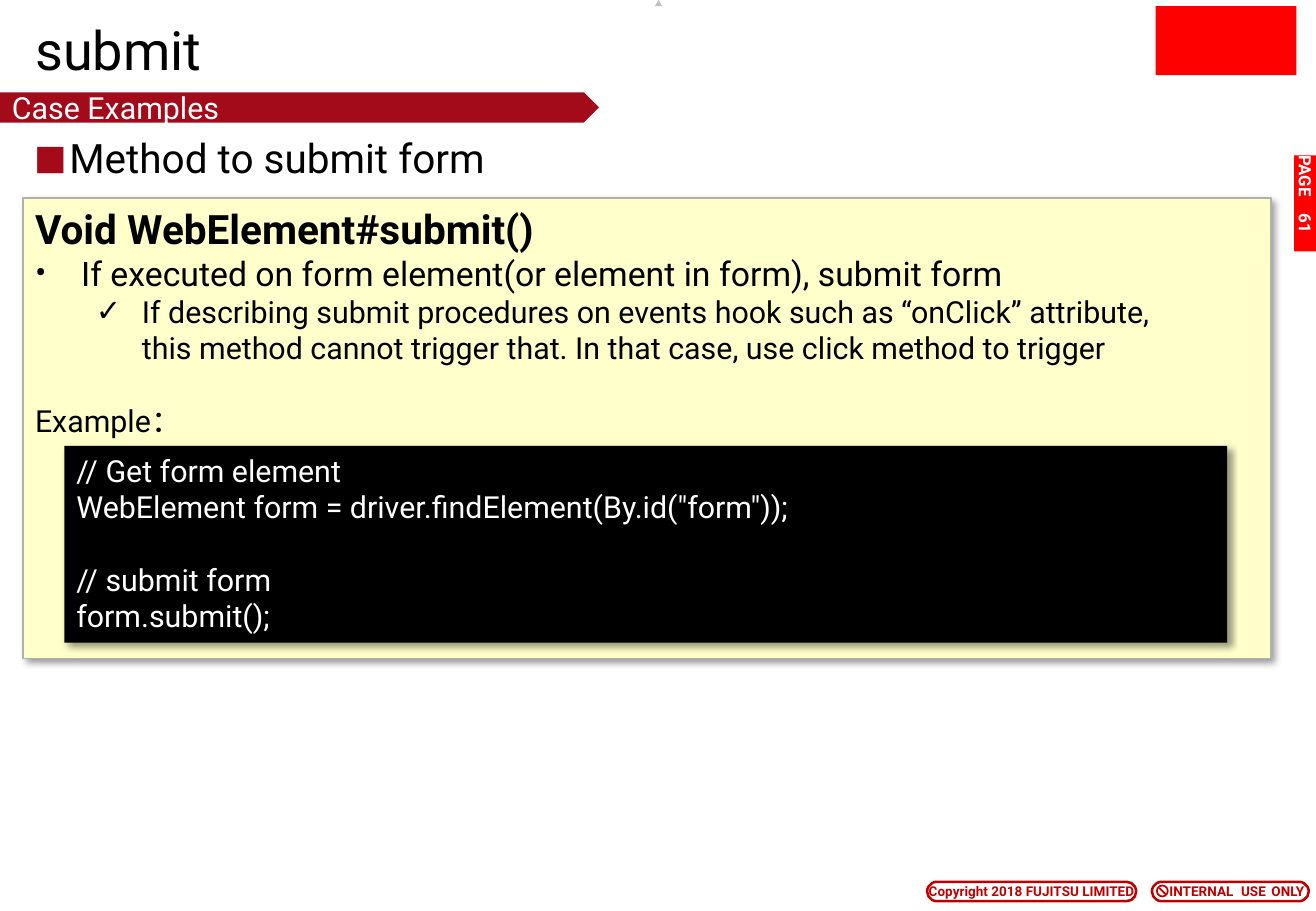
import pptx
import pptx.util
import pptx.dml.color
import pptx.enum.shapes
import pptx.enum.text
import pptx.oxml
import pptx.oxml.ns
from lxml import etree

Inches, Pt = pptx.util.Inches, pptx.util.Pt
RGB = pptx.dml.color.RGBColor.from_string
SHAPE = pptx.enum.shapes.MSO_SHAPE
ANCHOR = pptx.enum.text.MSO_ANCHOR
ALIGN = pptx.enum.text.PP_ALIGN
qn = pptx.oxml.ns.qn


class Theme:
    font = "Roboto"
    black, white, grey = "000000", "FFFFFF", "C0C0C0"
    red, crimson, badge = "FF0000", "A30B1A", "C00000"
    cream, border = "FFFFCC", "B1B1AC"
    title, head, item, body, page, small = 32, 24, 20, 18, 10, 8
    blank_line = 21.5


def set_frame(shape, margins=(0.1, 0.05, 0.1, 0.05), anchor=ANCHOR.TOP, wrap=True):
    tf = shape.text_frame
    left, top, right, bottom = (Inches(m) for m in margins)
    frame = dict(margin_left=left, margin_top=top, margin_right=right,
                 margin_bottom=bottom, vertical_anchor=anchor, word_wrap=wrap,
                 auto_size=pptx.enum.text.MSO_AUTO_SIZE.NONE)
    for name, value in frame.items():
        setattr(tf, name, value)
    return tf


def add_bullet(p, char, margin, indent, color=Theme.black, percent=100):
    pPr = p._p.get_or_add_pPr()
    pPr.set("marL", str(Inches(margin)))
    pPr.set("indent", str(Inches(-indent)))
    clr = etree.SubElement(pPr, qn("a:buClr"))
    etree.SubElement(clr, qn("a:srgbClr"), val=color)
    etree.SubElement(pPr, qn("a:buSzPct"), val=str(percent * 1000))
    etree.SubElement(pPr, qn("a:buFont"), typeface=Theme.font)
    etree.SubElement(pPr, qn("a:buChar"), char=char)


def add_tabs(p, stops):
    tabs = etree.SubElement(p._p.get_or_add_pPr(), qn("a:tabLst"))
    for stop in stops:
        etree.SubElement(tabs, qn("a:tab"), pos=str(Inches(stop)), algn="l")


def write(tf, text, size, color=Theme.black, bold=False, bullet=None, tabs=(),
          **layout):
    """Write the next paragraph of a frame."""
    p = tf.paragraphs[0]
    if p.runs:
        p = tf.add_paragraph()
    if bullet:
        add_bullet(p, *bullet)
    if tabs:
        add_tabs(p, tabs)
    p.text = text
    for name, value in {"alignment": ALIGN.LEFT, **layout}.items():
        setattr(p, name, value)
    for r in p.runs:
        r.font.color.rgb = RGB(color)
        for name, value in dict(name=Theme.font, size=Pt(size), bold=bold).items():
            setattr(r.font, name, value)


def add_box(s, kind, box, fill, line=None, width=1, adj=()):
    sp = s.shapes.add_shape(kind, *map(Inches, box))
    sp.shadow.inherit = False
    sp.fill.solid()
    sp.fill.fore_color.rgb = RGB(fill)
    if line:
        sp.line.color.rgb = RGB(line)
        sp.line.width = Pt(width)
    else:
        sp.line.fill.background()
    for i, value in enumerate(adj):
        sp.adjustments[i] = value
    return sp


def add_shadow(sp):
    effects = sp._element.spPr.find(qn("a:effectLst"))
    shadow = etree.SubElement(effects, qn("a:outerShdw"), blurRad=str(Pt(4)),
                              dist=str(Pt(3)), dir="2700000", algn="tl", rotWithShape="0")
    clr = etree.SubElement(shadow, qn("a:srgbClr"), val=Theme.black)
    etree.SubElement(clr, qn("a:alpha"), val="40000")


def add_header(s, x, y):
    # Title
    title = s.shapes.title
    box = dict(left=x + 0.19, top=y + 0.19, width=9.17, height=0.43)
    for name, value in box.items():
        setattr(title, name, Inches(value))
    write(set_frame(title, anchor=ANCHOR.MIDDLE), "submit", Theme.title)
    # Brand block and top marker
    add_box(s, SHAPE.RECTANGLE, (x + 9.51, y + 0.05, 1.16, 0.57), Theme.red)
    add_box(s, SHAPE.ISOSCELES_TRIANGLE, (x + 5.39, y, 0.06, 0.05), Theme.grey)
    # Section ribbon
    ribbon = add_box(s, SHAPE.RIGHT_ARROW, (x, y + 0.76, 4.93, 0.25),
                     Theme.crimson, adj=(1, 0.5))
    write(set_frame(ribbon, (0.1, 0, 0.1, 0), ANCHOR.MIDDLE), "Case Examples",
          Theme.body, Theme.white)


def add_page_tab(s, box):
    tab = add_box(s, SHAPE.RECTANGLE, box, Theme.red)
    tab.rotation = 90
    write(set_frame(tab, (0, 0, 0, 0), ANCHOR.MIDDLE), "PAGE\t61", Theme.page,
          Theme.white, True, tabs=[0.48])


def add_lead(s, box):
    tb = s.shapes.add_textbox(*map(Inches, box))
    write(set_frame(tb, (0.09, 0.05, 0.09, 0.05)), "Method to submit form", Theme.head,
          bullet=("■", 0.29, 0.29, Theme.crimson, 85), line_spacing=1.1)


def add_method_panel(s, x, y, w, h):
    # Description
    panel = add_box(s, SHAPE.RECTANGLE, (x, y, w, h), Theme.cream, Theme.border, 0.75)
    add_shadow(panel)
    tf = set_frame(panel)
    write(tf, "Void WebElement#submit()", Theme.head, bold=True)
    write(tf, "If executed on form element(or element in form), submit form",
          Theme.item, bullet=("•", 0.38, 0.38))
    write(tf, "If describing submit procedures on events hook such as “onClick” attribute,\v"
          "this method cannot trigger that. In that case, use click method to trigger",
          Theme.body, bullet=("✓", 0.88, 0.38), level=1)
    write(tf, "Example：", Theme.body, space_before=Pt(Theme.blank_line))
    # Code
    code = add_box(s, SHAPE.RECTANGLE, (x + 0.34, y + 2.04, w - 0.7, 1.62), Theme.black)
    add_shadow(code)
    tf = set_frame(code)
    blocks = (("// Get form element", 'WebElement form = driver.findElement(By.id("form"));'),
              ("// submit form", "form.submit();"))
    for i, block in enumerate(blocks):
        for j, line in enumerate(block):
            gap = {"space_before": Pt(Theme.blank_line)} if i and not j else {}
            write(tf, line, Theme.body, Theme.white, **gap)


def add_footer(s, x, y):
    def add_badge(left, width, margin, text, **layout):
        sp = add_box(s, SHAPE.ROUNDED_RECTANGLE, (left, y, width, 0.16),
                     Theme.white, Theme.badge, 1.5, (0.5,))
        tf = set_frame(sp, (margin, 0, 0, 0), ANCHOR.MIDDLE, wrap=False)
        write(tf, text, Theme.small, Theme.badge, True, **layout)

    add_badge(x, 1.72, 0, "Copyright 2018 FUJITSU LIMITED", alignment=ALIGN.CENTER)
    add_badge(x + 1.85, 1.29, 0.12, "INTERNAL\tUSE\tONLY", tabs=[0.59, 0.84])
    # Prohibition sign
    add_box(s, SHAPE.OVAL, (x + 1.89, y + 0.03, 0.09, 0.09), Theme.white, Theme.badge)
    slash = s.shapes.add_connector(
        pptx.enum.shapes.MSO_CONNECTOR.STRAIGHT,
        *map(Inches, (x + 1.91, y + 0.05, x + 1.97, y + 0.11)))
    slash.line.color.rgb = RGB(Theme.badge)
    slash.line.width = Pt(1)
    etree.SubElement(slash._element.spPr, qn("a:effectLst"))


def main():
    prs = pptx.Presentation()
    prs.slide_width, prs.slide_height = Inches(10.83), Inches(7.5)
    s = prs.slides.add_slide(prs.slide_layouts[5])
    add_header(s, 0, 0)
    add_page_tab(s, (10.35, 1.58, 0.79, 0.19))
    add_lead(s, (0.19, 1.01, 10.27, 6.09))
    add_method_panel(s, 0.19, 1.63, 10.27, 3.79)
    add_footer(s, 7.63, 7.26)
    prs.save("out.pptx")


if __name__ == "__main__":
    main()
